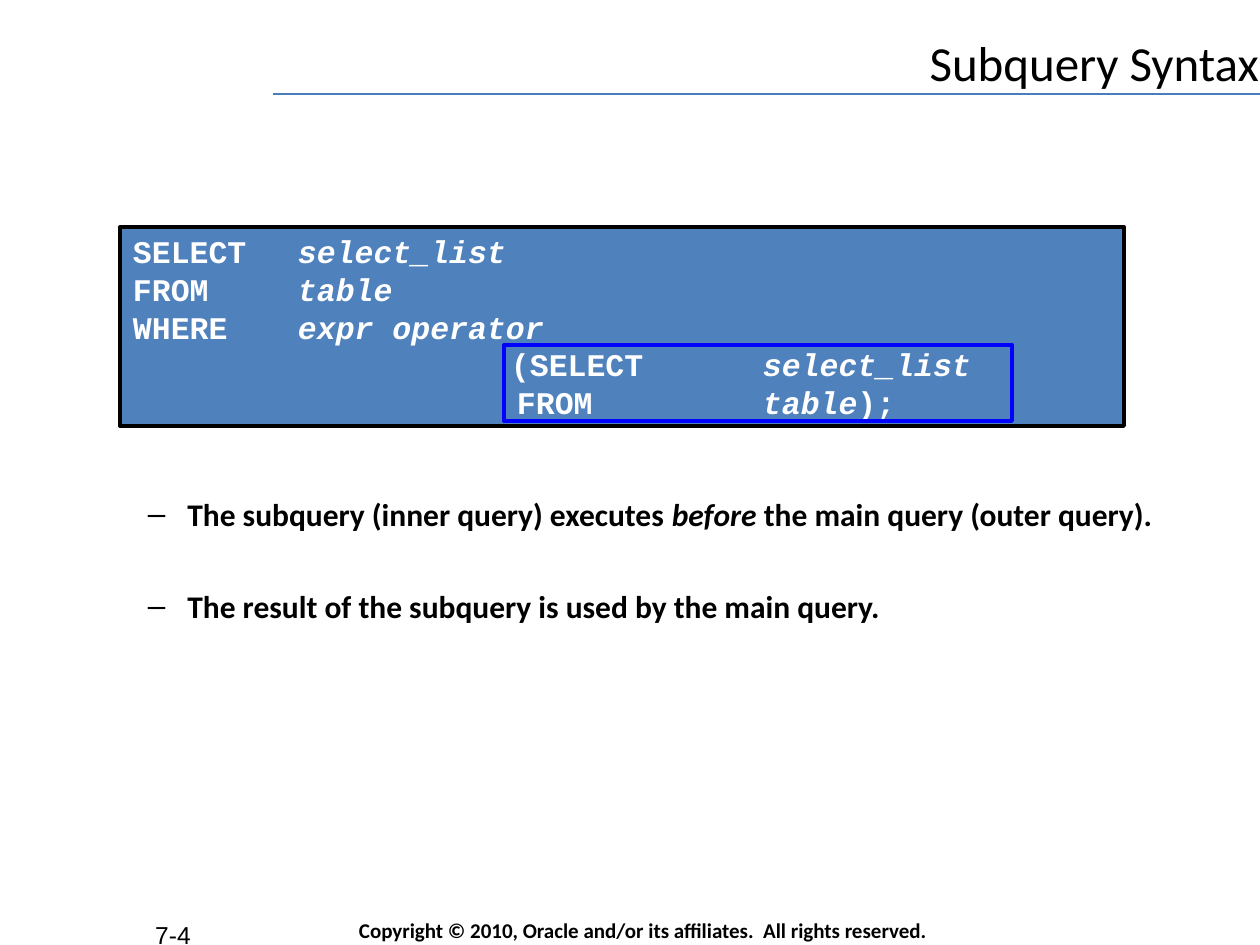
"""Build the Subquery Syntax slide."""
import pptx
import pptx.util
import pptx.dml.color
import pptx.enum.shapes
import pptx.enum.text
import pptx.oxml
import pptx.oxml.ns

INCH = 126
HUES = {"ink": "000000", "paper": "FFFFFF", "code": "4F81BD",
        "rule": "4A7EBB", "mark": "0000FF"}
SPOTS = {
    "title": (189, 32, 1071, 63),
    "list": (84, 494, 1091, 132),
    "code": (120, 227, 1004, 199),
    "inner": (504, 345, 508, 76),
    "foot": (346, 917, 566, 26),
    "page": (42, 914, 262, 63),
}
RULE = (273, 94, 1260, 94)
TITLE = [["Subquery Syntax"]]
FOOT = [["Copyright © 2010, Oracle and/or its affiliates.  All rights reserved."]]
PAGE = [["7-4"]]
POINTS = [
    ["The subquery (inner query) executes ", "before",
     " the main query (outer query)."],
    ["The result of the subquery is used by the main query."],
]
CODE = [
    ["SELECT\t", "select_list"],
    ["FROM\t", "table"],
    ["WHERE\t", "expr operator"],
    ["\t(SELECT\t", "select_list"],
    ["\tFROM\t", "table", ");"],
]
STOPS = [(165,)] * 3 + [(378, 630), (384, 630)]

ALIGN = pptx.enum.text.PP_ALIGN
ANCHOR = pptx.enum.text.MSO_ANCHOR
RECT = pptx.enum.shapes.MSO_SHAPE.RECTANGLE


def px(n):
    return pptx.util.Emu(round(n * 914400 / INCH))


def hue(name):
    return pptx.dml.color.RGBColor.from_string(HUES[name])


def add_xml(node, tag, **attrs):
    kid = node.makeelement(pptx.oxml.ns.qn(tag), attrs)
    node.append(kid)
    return kid


def write(shape, lines, size=18, face="Calibri", ink="ink", bold=False,
          align=ALIGN.LEFT, anchor=ANCHOR.TOP, pad=(13, 6), wrap=True,
          level=0, gap=0, stops=()):
    frame = shape.text_frame
    frame.auto_size = pptx.enum.text.MSO_AUTO_SIZE.NONE
    frame.word_wrap, frame.vertical_anchor = wrap, anchor
    frame.margin_left = frame.margin_right = px(pad[0])
    frame.margin_top = frame.margin_bottom = px(pad[1])
    for i, parts in enumerate(lines):
        para = frame.add_paragraph() if i else frame.paragraphs[0]
        if stops:
            tabs = add_xml(para._p.get_or_add_pPr(), "a:tabLst")
            for stop in stops[i]:
                add_xml(tabs, "a:tab", pos=str(px(stop)), algn="l")
        para.level, para.alignment = level, align
        para.space_before = pptx.util.Pt(gap if i else 0)
        for j, text in enumerate(parts):
            run = para.add_run()
            run.text = text
            font = run.font
            font.name, font.size = face, pptx.util.Pt(size)
            font.bold, font.italic = bold, j % 2 == 1
            font.color.rgb = hue(ink)


def place(shape, spot):
    shape.left, shape.top, shape.width, shape.height = map(px, SPOTS[spot])
    return shape


def box(slide, spot, line, fill=None):
    shape = slide.shapes.add_shape(RECT, *map(px, SPOTS[spot]))
    shape.shadow.inherit = False
    if fill:
        shape.fill.solid()
        shape.fill.fore_color.rgb = hue(fill)
    else:
        shape.fill.background()
    shape.line.color.rgb = hue(line)
    shape.line.width = pptx.util.Pt(2.25)
    return shape


def main():
    deck = pptx.Presentation()
    deck.slide_width, deck.slide_height = px(1260), px(945)
    slide = deck.slides.add_slide(deck.slide_layouts[1])
    shapes = slide.shapes
    title = place(shapes.title, "title")
    body = place(slide.placeholders[1], "list")
    for shape in (title, body):
        shape.fill.solid()
        shape.fill.fore_color.rgb = hue("paper")
    write(title, TITLE, size=28, align=ALIGN.RIGHT, pad=(1, 1))
    write(body, POINTS, bold=True, pad=(1, 1), level=1, gap=31)

    rule = shapes.add_connector(
        pptx.enum.shapes.MSO_CONNECTOR.STRAIGHT, *map(px, RULE))
    rule.line.color.rgb = hue("rule")
    rule.line.width = pptx.util.Pt(0.75)
    add_xml(rule._element.spPr, "a:effectLst")

    foot = shapes.add_textbox(*map(px, SPOTS["foot"]))
    write(foot, FOOT, size=12, bold=True, anchor=ANCHOR.MIDDLE, wrap=False)
    page = shapes.add_textbox(*map(px, SPOTS["page"]))
    write(page, PAGE, size=14, face="Arial", align=ALIGN.CENTER)

    code = box(slide, "code", "ink", "code")
    write(code, CODE, face="Courier New", ink="paper", bold=True,
          anchor=ANCHOR.MIDDLE, stops=STOPS)
    box(slide, "inner", "mark")
    deck.save("out.pptx")


if __name__ == "__main__":
    main()
